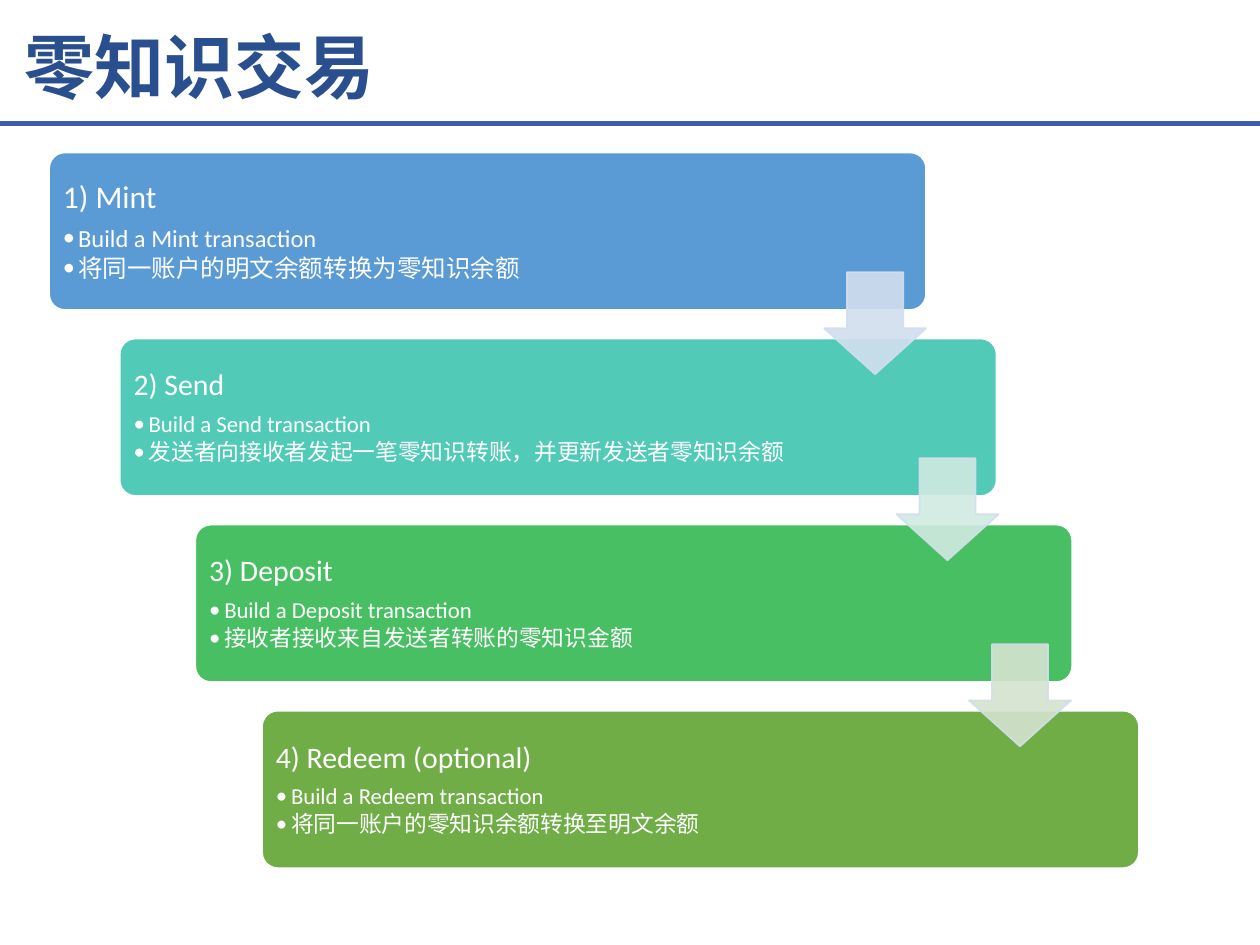
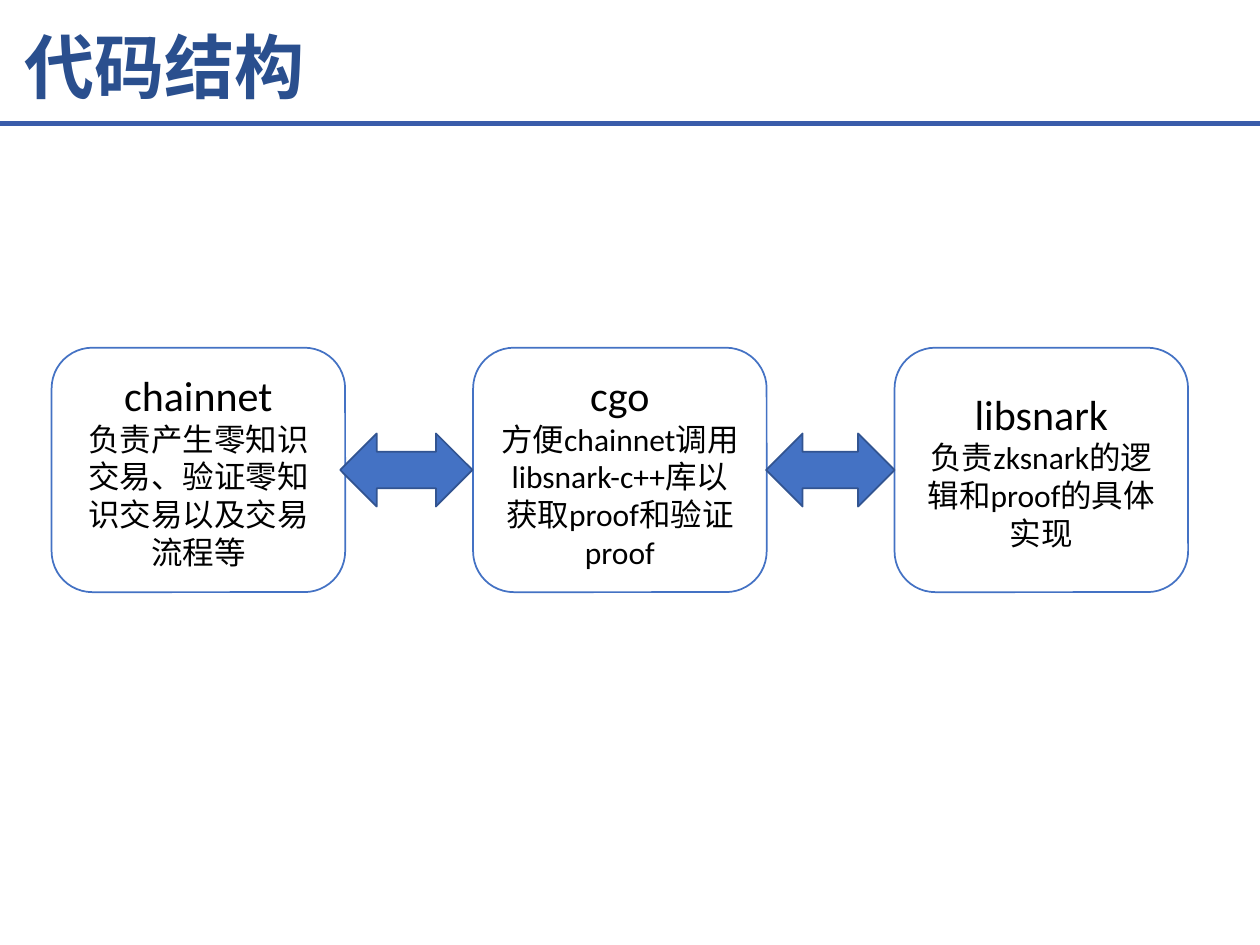
"""Build two slides: the steps of a zero-knowledge trade and the code layout."""
from lxml.etree import SubElement
from pptx import Presentation
from pptx.dml.color import RGBColor
from pptx.enum.shapes import MSO_CONNECTOR, MSO_SHAPE
from pptx.enum.text import MSO_ANCHOR, PP_ALIGN
from pptx.oxml.ns import qn
from pptx.util import Inches, Pt

COLORS = {
    "rule": "3A5CAA", "title": "2A4F8E", "white": "FFFFFF", "black": "000000",
    "mint": "5B9BD5", "send": "52CAB8", "deposit": "49BF64", "redeem": "70AD47",
    "pale": "D2DEEF", "aqua": "D0EAE1", "sage": "D5E3CF",
    "blue": "4472C4", "navy": "325491",
}
LATIN, HAN = "Calibri", "Noto Sans CJK SC"

STEPS = [
    (0.39, "mint", 18, 14, "1) Mint",
     ["Build a Mint transaction", "将同一账户的明文余额转换为零知识余额"]),
    (0.95, "send", 17, 13, "2) Send",
     ["Build a Send transaction", "发送者向接收者发起一笔零知识转账，并更新发送者零知识余额"]),
    (1.55, "deposit", 17, 13, "3) Deposit",
     ["Build a Deposit transaction", "接收者接收来自发送者转账的零知识金额"]),
    (2.08, "redeem", 17, 13, "4) Redeem (optional)",
     ["Build a Redeem transaction", "将同一账户的零知识余额转换至明文余额"]),
]
DROPS = ["pale", "aqua", "sage"]
PARTS = [
    ("chainnet", "负责产生零知识交易、验证零知识交易以及交易流程等"),
    ("cgo", "方便chainnet调用libsnark-c++库以获取proof和验证proof"),
    ("libsnark", "负责zksnark的逻辑和proof的具体实现"),
]
LINKS = [(2.7, 1.05), (6.08, 1.02)]

STEP_TOP, STEP_GAP = 1.21, (5.64 - 1.21) / 3
DROP_LEFT, DROP_GAP = 6.54, (7.69 - 6.54) / 2
PART_LEFT, PART_GAP = 0.41, (7.1 - 0.41) / 2


def rgb(name):
    return RGBColor.from_string(COLORS[name])


def box(at):
    return [Inches(n) for n in at]


def add_run(para, text, size, color, font=LATIN, bold=False):
    run = para.add_run()
    run.text = text
    run.font.name, run.font.size, run.font.bold = font, Pt(size), bold
    run.font.color.rgb = rgb(color)
    SubElement(run.font._element, qn("a:ea"), typeface=HAN)


def add_shape(slide, kind, at, fill, line, adjust=()):
    shape = slide.shapes.add_shape(kind, *box(at))
    shape.shadow.inherit = False
    shape.fill.solid()
    shape.fill.fore_color.rgb = rgb(fill)
    shape.line.color.rgb = rgb(line)
    shape.line.width = Pt(1)
    for i, value in enumerate(adjust):
        shape.adjustments[i] = value
    return shape


def add_text(slide, at):
    frame = slide.shapes.add_textbox(*box(at)).text_frame
    frame.word_wrap = True
    return frame


def fade(shape, percent):
    for color in shape._element.spPr.iter(qn("a:srgbClr")):
        SubElement(color, qn("a:alpha"), val=str(percent * 1000))


def set_bullet(para):
    props = para._p.get_or_add_pPr()
    props.set("marL", str(Inches(0.12)))
    props.set("indent", str(-Inches(0.12)))
    SubElement(props, qn("a:buFont"), typeface=LATIN)
    SubElement(props, qn("a:buChar"), char="•")


def add_slide(deck, title):
    slide = deck.slides.add_slide(deck.slide_layouts[6])
    rule = slide.shapes.add_connector(MSO_CONNECTOR.STRAIGHT, *box((0, 0.98, 10, 0.98)))
    rule.line.color.rgb = rgb("rule")
    rule.line.width = Pt(3)
    SubElement(rule._element.spPr, qn("a:effectLst"))
    frame = add_text(slide, (0.1, 0.14, 6.54, 0.77))
    add_run(frame.paragraphs[0], title, 40, "title", HAN, True)
    return slide


def add_step(slide, top, left, fill, big, small, head, notes):
    add_shape(slide, MSO_SHAPE.ROUNDED_RECTANGLE, (left, top, 6.96, 1.25),
              fill, "white", [0.1])
    frame = add_text(slide, (left + 0.04, top + 0.04, 5.5, 1.18))
    frame.vertical_anchor = MSO_ANCHOR.MIDDLE
    frame.margin_left = frame.margin_right = Inches(0.07)
    frame.margin_top = frame.margin_bottom = Inches(0.07)
    para = frame.paragraphs[0]
    para.line_spacing, para.space_after = 0.9, Pt(6)
    add_run(para, head, big, "white")
    for note in notes:
        para = frame.add_paragraph()
        para.level = 1
        para.line_spacing, para.space_after = 0.9, Pt(2)
        set_bullet(para)
        add_run(para, note, small, "white")


def add_part(slide, left, name, role):
    card = add_shape(slide, MSO_SHAPE.ROUNDED_RECTANGLE, (left, 2.76, 2.33, 1.94),
                     "white", "blue")
    frame = card.text_frame
    frame.word_wrap = True
    frame.vertical_anchor = MSO_ANCHOR.MIDDLE
    for para, text, size in ((frame.paragraphs[0], name, 24),
                             (frame.add_paragraph(), role, 18)):
        para.alignment = PP_ALIGN.CENTER
        add_run(para, text, size, "black")


def main():
    deck = Presentation()
    deck.slide_width, deck.slide_height = Inches(10), Inches(7.5)

    slide = add_slide(deck, "零知识交易")
    for i, step in enumerate(STEPS):
        add_step(slide, STEP_TOP + i * STEP_GAP, *step)
    for i, fill in enumerate(DROPS):
        at = (DROP_LEFT + i * DROP_GAP, STEP_TOP + 0.95 + i * STEP_GAP, 0.81, 0.81)
        drop = add_shape(slide, MSO_SHAPE.DOWN_ARROW, at, fill, "pale", [0.55, 0.45])
        fade(drop, 90)

    slide = add_slide(deck, "代码结构")
    for i, part in enumerate(PARTS):
        add_part(slide, PART_LEFT + i * PART_GAP, *part)
    for left, width in LINKS:
        add_shape(slide, MSO_SHAPE.LEFT_RIGHT_ARROW, (left, 3.44, width, 0.58),
                  "blue", "navy")

    deck.save("out.pptx")


if __name__ == "__main__":
    main()
